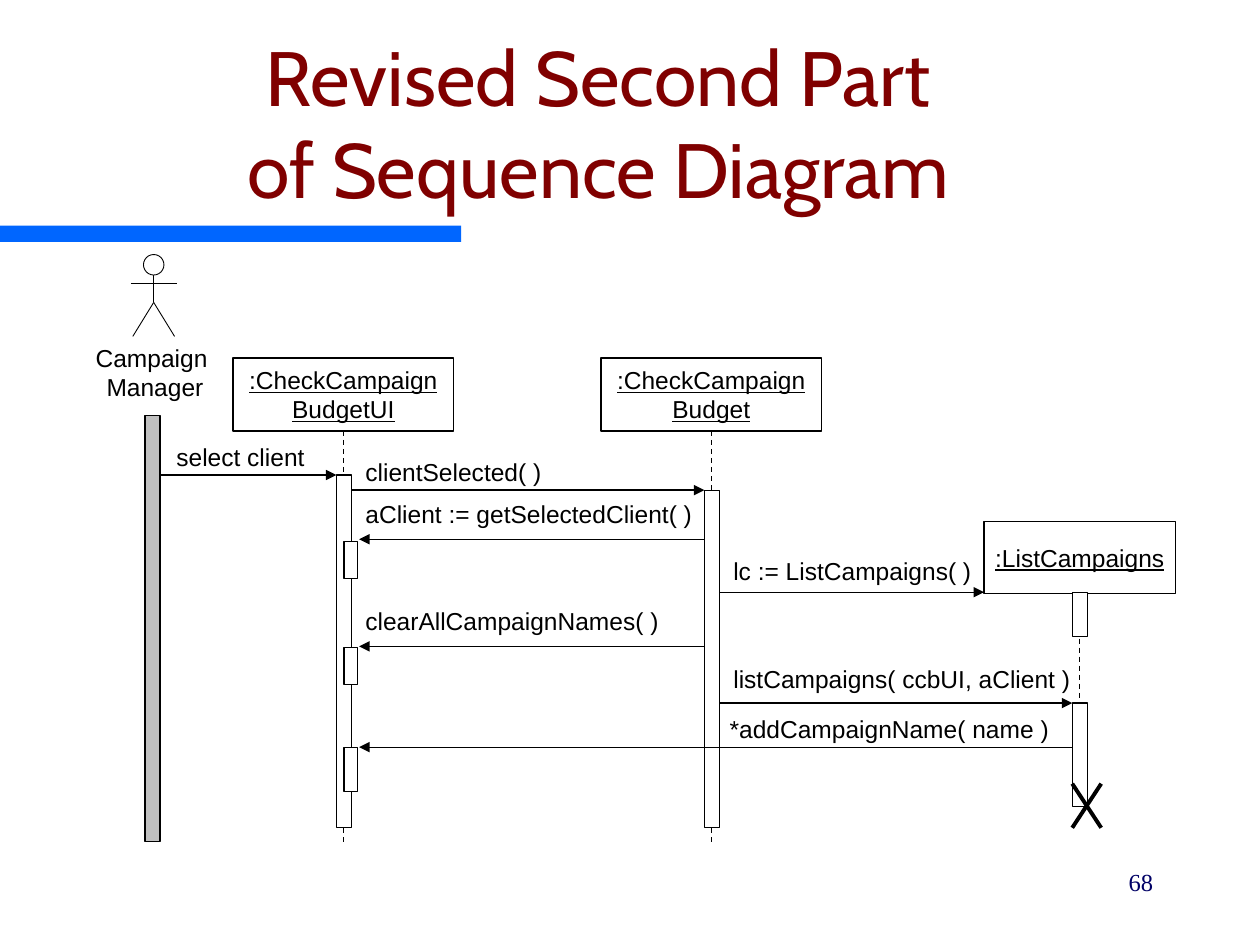
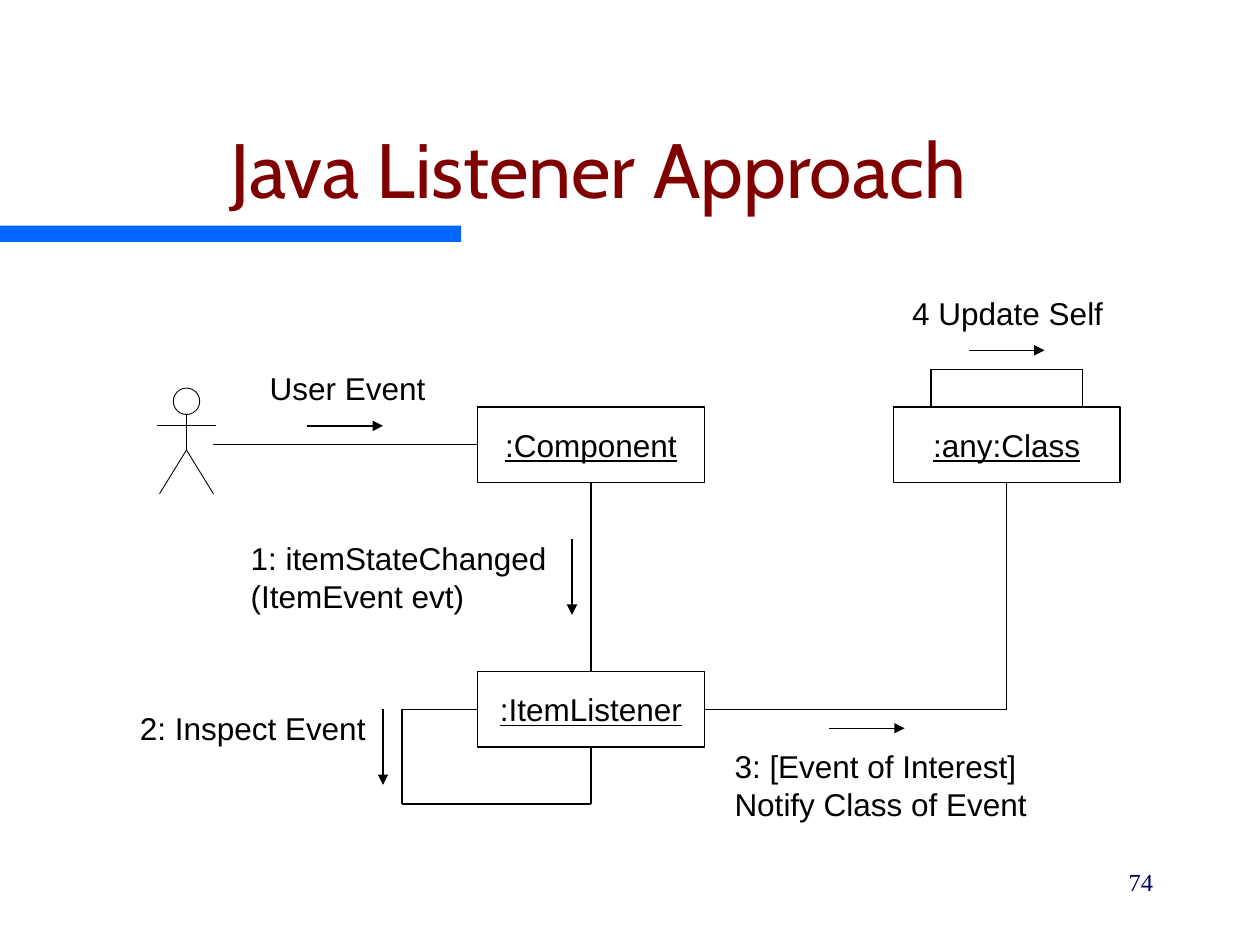
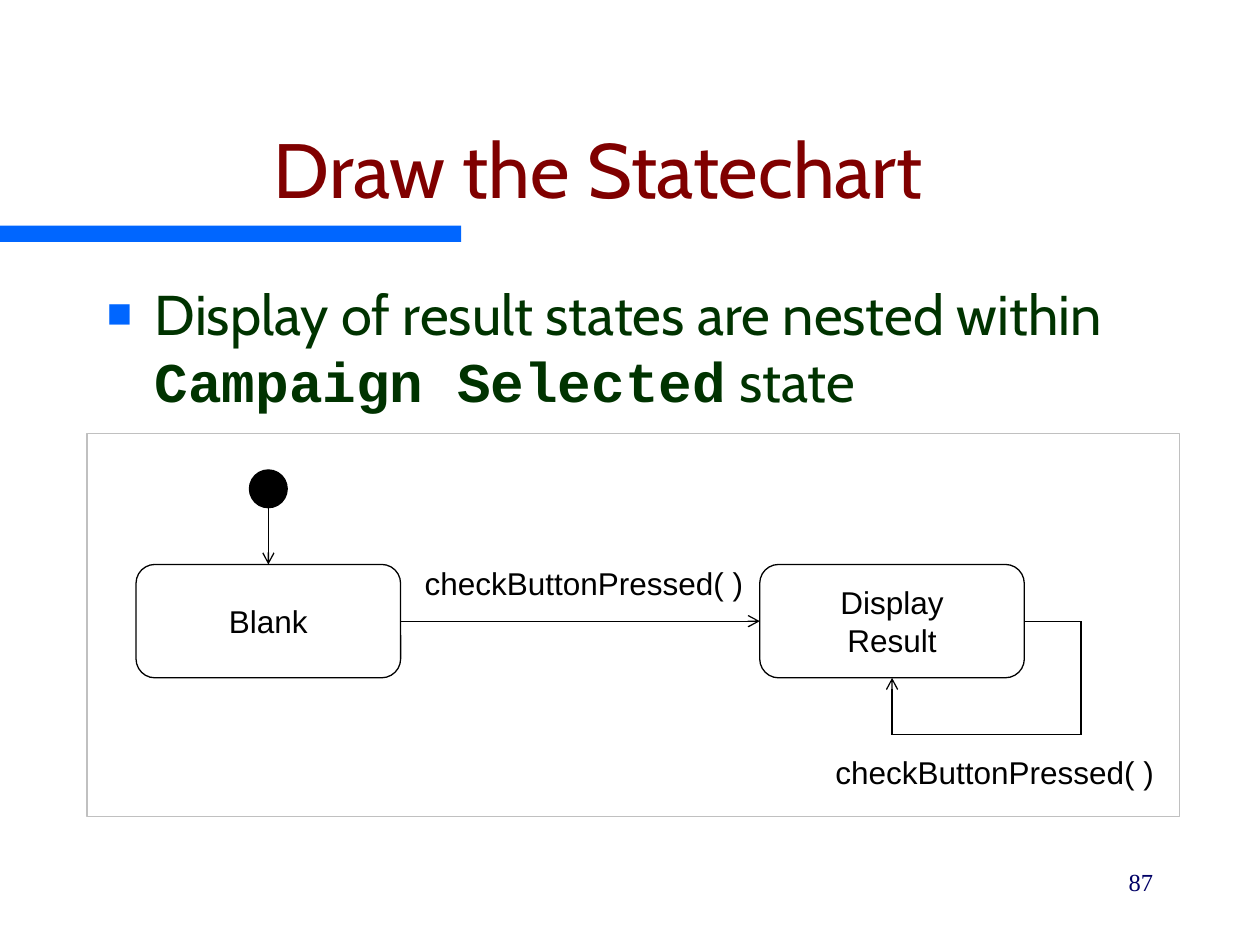
import pptx
import pptx.dml.color
import pptx.enum.dml
import pptx.enum.shapes
import pptx.enum.text
import pptx.oxml
import pptx.oxml.ns
import pptx.shapes.autoshape
import pptx.util

Inches = pptx.util.Inches
Pt = pptx.util.Pt
RGBColor = pptx.dml.color.RGBColor
SHAPE = pptx.enum.shapes.MSO_SHAPE
ALIGN = pptx.enum.text.PP_ALIGN
ANCHOR = pptx.enum.text.MSO_ANCHOR
AUTO_SIZE = pptx.enum.text.MSO_AUTO_SIZE
qn = pptx.oxml.ns.qn

# Shared look
BLACK = RGBColor(0x00, 0x00, 0x00)
WHITE = RGBColor(0xFF, 0xFF, 0xFF)
GRAY = RGBColor(0xC0, 0xC0, 0xC0)
BAND_BLUE = RGBColor(0x00, 0x66, 0xFF)
TITLE_RED = RGBColor(0x80, 0x00, 0x00)
BODY_GREEN = RGBColor(0x00, 0x33, 0x00)
NUMBER_NAVY = RGBColor(0x00, 0x00, 0x66)
TITLE_FONT, DIAGRAM_FONT = "Cabin", "Arial"
CODE_FONT, NUMBER_FONT = "Courier New", "Times New Roman"

# Connection sites and where they lie, as fractions of width and height
TOP, LEFT, BOTTOM, RIGHT = range(4)
SITE_FRACTIONS = {TOP: (0.5, 0), LEFT: (0, 0.5), BOTTOM: (0.5, 1), RIGHT: (1, 0.5)}


def write(paragraph, text, size, font=DIAGRAM_FONT, color=BLACK, align=ALIGN.LEFT):
    paragraph.text = text
    paragraph.alignment = align
    paragraph.font.size = Pt(size)
    paragraph.font.name = font
    paragraph.font.color.rgb = color


def add_text_box(slide, left, top, width, height, wrap=True, margin=True):
    text_box = slide.shapes.add_textbox(*map(Inches, (left, top, width, height)))
    frame = text_box.text_frame
    frame.word_wrap = wrap
    if not margin:
        frame.margin_left = frame.margin_right = 0
        frame.margin_top = frame.margin_bottom = 0
    return frame


def add_label(slide, left, top, width, text, size):
    """Diagram text without margins, in a box that grows with it."""
    height = size / 60 * (text.count("\n") + 1)
    frame = add_text_box(slide, left, top, width, height, wrap=False, margin=False)
    frame.auto_size = AUTO_SIZE.SHAPE_TO_FIT_TEXT
    write(frame.paragraphs[0], text, size)


def add_box(slide, left, top, width, height, fill=WHITE, line=BLACK,
            line_width=0.75, kind=SHAPE.RECTANGLE):
    shape = slide.shapes.add_shape(kind, *map(Inches, (left, top, width, height)))
    shape.shadow.inherit = False
    shape.fill.solid()
    shape.fill.fore_color.rgb = fill
    if line is None:
        shape.line.fill.background()
    else:
        shape.line.color.rgb = line
        shape.line.width = Pt(line_width)
    return shape


def caption(shape, text, size, underline=None):
    frame = shape.text_frame
    frame.word_wrap = False
    frame.vertical_anchor = ANCHOR.MIDDLE
    paragraph = frame.paragraphs[0]
    write(paragraph, text, size, align=ALIGN.CENTER)
    paragraph.font.underline = underline


def add_object(slide, left, top, width, height, text, size):
    """Box of a UML object, with its name underlined."""
    shape = add_box(slide, left, top, width, height)
    caption(shape, text, size, underline=True)
    return shape


def add_state(slide, left, top, text):
    """Rounded box of a UML state."""
    shape = add_box(slide, left, top, 2.1, 0.9, kind=SHAPE.ROUNDED_RECTANGLE)
    caption(shape, text, 18)
    return shape


def is_joint(end):
    return isinstance(end[0], pptx.shapes.autoshape.Shape)


def locate(end):
    """Position of a line end, given as (x, y) or as (shape, site)."""
    if not is_joint(end):
        return Inches(end[0]), Inches(end[1])
    shape, site = end
    across, down = SITE_FRACTIONS[site]
    return shape.left + int(shape.width * across), shape.top + int(shape.height * down)


def add_line(slide, start, end, width=0.75, arrow=None, dashed=False):
    connector = slide.shapes.add_connector(
        pptx.enum.shapes.MSO_CONNECTOR.STRAIGHT, *locate(start), *locate(end))
    if is_joint(start):
        connector.begin_connect(*start)
    if is_joint(end):
        connector.end_connect(*end)
    connector.line.color.rgb = BLACK
    connector.line.width = Pt(width)
    if dashed:
        connector.line.dash_style = pptx.enum.dml.MSO_LINE.DASH
    properties = connector.element.spPr
    if arrow:
        namespace = pptx.oxml.ns.nsdecls("a")
        properties.find(qn("a:ln")).append(
            pptx.oxml.parse_xml(f'<a:tailEnd {namespace} type="{arrow}"/>'))
    properties.append(properties.makeelement(qn("a:effectLst"), {}))


def add_path(slide, *ends, arrow=None):
    """Chain of straight lines, with the arrowhead on the last one."""
    for index, (start, end) in enumerate(zip(ends, ends[1:]), start=2):
        add_line(slide, start, end, arrow=arrow if index == len(ends) else None)


def add_actor(slide, center, top, height):
    """Stick figure, sized by its height."""
    head = 0.25 * height
    arms = top + 0.355 * height
    hip = (center, top + 0.585 * height)
    foot = top + height
    add_line(slide, hip, (center, top + head), width=0.5)
    add_line(slide, (center - 0.28 * height, arms), (center + 0.28 * height, arms), width=0.5)
    for side in (-1, 1):
        add_line(slide, hip, (center + side * 0.255 * height, foot), width=0.5)
    add_box(slide, center - head / 2, top, head, head, line_width=0.5, kind=SHAPE.OVAL)


def add_bullet(paragraph, pieces):
    """Square bullet followed by (text, font, bold) pieces."""
    properties = paragraph._p.get_or_add_pPr()
    properties.set("marL", str(Inches(0.38)))
    properties.set("indent", str(Inches(-0.38)))
    for tag, attributes in (("a:buClr", {}), ("a:buSzPct", {"val": "75000"}),
                            ("a:buFont", {"typeface": DIAGRAM_FONT}),
                            ("a:buChar", {"char": "■"})):
        properties.append(properties.makeelement(qn(tag), attributes))
    bullet_color = properties.find(qn("a:buClr"))
    bullet_color.append(
        bullet_color.makeelement(qn("a:srgbClr"), {"val": str(BAND_BLUE)}))
    paragraph.space_before = Pt(8)
    for text, font, bold in pieces:
        run = paragraph.add_run()
        run.text = text
        run.font.name = font
        run.font.bold = bold
        run.font.size = Pt(32)
        run.font.color.rgb = BODY_GREEN


def add_slide(presentation, title, number):
    """Blank slide with band, title and slide number."""
    slide = presentation.slides.add_slide(presentation.slide_layouts[6])
    add_box(slide, 0, 1.79, 3.66, 0.13, fill=BAND_BLUE, line=None)
    frame = add_text_box(slide, 0.25, 0.5, 9, 1.25)
    frame.vertical_anchor = ANCHOR.BOTTOM
    write(frame.paragraphs[0], title, 44, TITLE_FONT, TITLE_RED, ALIGN.CENTER)
    frame = add_text_box(slide, 7.17, 6.83, 2.08, 0.5)
    write(frame.paragraphs[0], str(number), 14, NUMBER_FONT, NUMBER_NAVY, ALIGN.RIGHT)
    frame.paragraphs[0].space_before = Pt(8.8)
    return slide


def build_sequence_diagram(presentation):
    slide = add_slide(presentation, "Revised Second Part\nof Sequence Diagram", 68)

    # Actor
    add_actor(slide, 1.22, 2.02, 0.65)
    frame = add_text_box(slide, 0.69, 2.72, 1.08, 0.54, margin=False)
    write(frame.paragraphs[0], "Campaign \nManager", 14, align=ALIGN.CENTER)
    add_box(slide, 1.15, 3.3, 0.12, 3.38, fill=GRAY)

    # Objects, their lifelines and activation bars (top, height)
    for left, top, width, height, name, lifeline_end, bar_left, bars in (
            (1.85, 2.84, 1.75, 0.58, ":CheckCampaign\nBudgetUI", 6.69, 2.67, [(3.77, 2.8)]),
            (4.77, 2.84, 1.75, 0.58, ":CheckCampaign\nBudget", 6.69, 5.59, [(3.89, 2.68)]),
            (7.81, 4.14, 1.52, 0.57, ":ListCampaigns", 6.1, 8.51, [(4.7, 0.35), (5.58, 0.82)])):
        box = add_object(slide, left, top, width, height, name, 14)
        add_line(slide, (box, BOTTOM), (left + width / 2, lifeline_end), dashed=True)
        for bar_top, bar_height in bars:
            add_box(slide, bar_left, bar_top, 0.12, bar_height)
    for top, height in ((4.3, 0.29), (5.14, 0.29), (5.93, 0.35)):
        add_box(slide, 2.73, top, 0.11, height)

    # Messages: line start, line end, height, then label left, top, width
    for start, end, y, left, top, width, text in (
            (1.27, 2.67, 3.77, 1.4, 3.51, 1.03, "select client"),
            (2.79, 5.59, 3.89, 2.9, 3.63, 1.41, "clientSelected( )"),
            (5.59, 2.85, 4.28, 2.9, 3.96, 2.61, "aClient := getSelectedClient( )"),
            (5.71, 7.81, 4.7, 5.82, 4.41, 1.9, "lc := ListCampaigns( )"),
            (5.59, 2.85, 5.13, 2.9, 4.81, 2.34, "clearAllCampaignNames( )"),
            (5.71, 8.51, 5.58, 5.82, 5.27, 2.69, "listCampaigns( ccbUI, aClient )"),
            (8.51, 2.85, 5.93, 5.79, 5.67, 2.55, "*addCampaignName( name )")):
        add_line(slide, (start, y), (end, y), arrow="triangle")
        add_label(slide, left, top, width, text, 14)

    # Destruction mark
    add_line(slide, (8.74, 6.22), (8.51, 6.57), width=2.25)
    add_line(slide, (8.51, 6.22), (8.74, 6.57), width=2.25)


def build_listener_diagram(presentation):
    slide = add_slide(presentation, "Java Listener Approach", 74)

    # Actor and objects
    add_actor(slide, 1.48, 3.08, 0.84)
    component, listener, any_class = (
        add_object(slide, left, top, 1.8, 0.6, name, 18)
        for left, top, name in ((3.79, 3.23, ":Component"),
                                (3.79, 5.33, ":ItemListener"),
                                (7.09, 3.23, ":any:Class")))

    # Links
    add_path(slide, (1.69, 3.53), (component, LEFT))
    add_path(slide, (component, BOTTOM), (listener, TOP))
    add_path(slide, (listener, LEFT), (3.19, 5.63), (3.19, 6.38), (4.69, 6.38),
             (listener, BOTTOM))
    add_path(slide, (listener, RIGHT), (7.99, 5.63), (any_class, BOTTOM))
    add_path(slide, (7.39, 3.23), (7.39, 2.93), (8.59, 2.93), (8.59, 3.23))

    # Messages: arrow start, direction, then label left, top, width
    arrow_length = 0.6
    for x, y, across, down, left, top, width, text in (
            (2.44, 3.38, 1, 0, 2.14, 2.93, 1.25, "User Event"),
            (4.54, 4.28, 0, 1, 1.99, 4.28, 2.36, "1: itemStateChanged\n(ItemEvent evt)"),
            (3.04, 5.63, 0, 1, 1.11, 5.63, 1.8, "2: Inspect Event"),
            (6.58, 5.78, 1, 0, 5.83, 5.93, 2.33,
             "3: [Event of Interest]\nNotify Class of Event"),
            (7.69, 2.78, 1, 0, 7.24, 2.33, 1.53, "4 Update Self")):
        add_line(slide, (x, y), (x + across * arrow_length, y + down * arrow_length),
                 arrow="triangle")
        add_label(slide, left, top, width, text, 18)


def build_statechart(presentation):
    slide = add_slide(presentation, "Draw the Statechart", 87)

    # Bullet text
    frame = add_text_box(slide, 0.75, 2.17, 8.5, 4.5)
    add_bullet(frame.paragraphs[0], (
        ("Display of result states are nested within ", TITLE_FONT, False),
        ("Campaign Selected", CODE_FONT, True),
        (" state", TITLE_FONT, False)))

    # Frame and states
    add_box(slide, 0.69, 3.44, 8.67, 3.04, line=GRAY)
    blank = add_state(slide, 1.08, 4.48, "Blank")
    result = add_state(slide, 6.03, 4.48, "Display\nResult")
    add_box(slide, 1.98, 3.73, 0.3, 0.3, fill=BLACK, kind=SHAPE.OVAL)

    # Transitions
    add_path(slide, (2.13, 4.03), (blank, TOP), arrow="arrow")
    add_path(slide, (blank, RIGHT), (result, LEFT), arrow="arrow")
    add_path(slide, (result, RIGHT), (8.58, 4.93), (8.58, 5.83), (7.08, 5.83),
             (result, BOTTOM), arrow="arrow")
    for left, top in ((3.37, 4.48), (6.63, 5.98)):
        add_label(slide, left, top, 2.54, "checkButtonPressed( )", 18)


def main():
    presentation = pptx.Presentation()
    presentation.slide_width = Inches(10)
    presentation.slide_height = Inches(7.5)
    build_sequence_diagram(presentation)
    build_listener_diagram(presentation)
    build_statechart(presentation)
    presentation.save("out.pptx")


if __name__ == "__main__":
    main()
